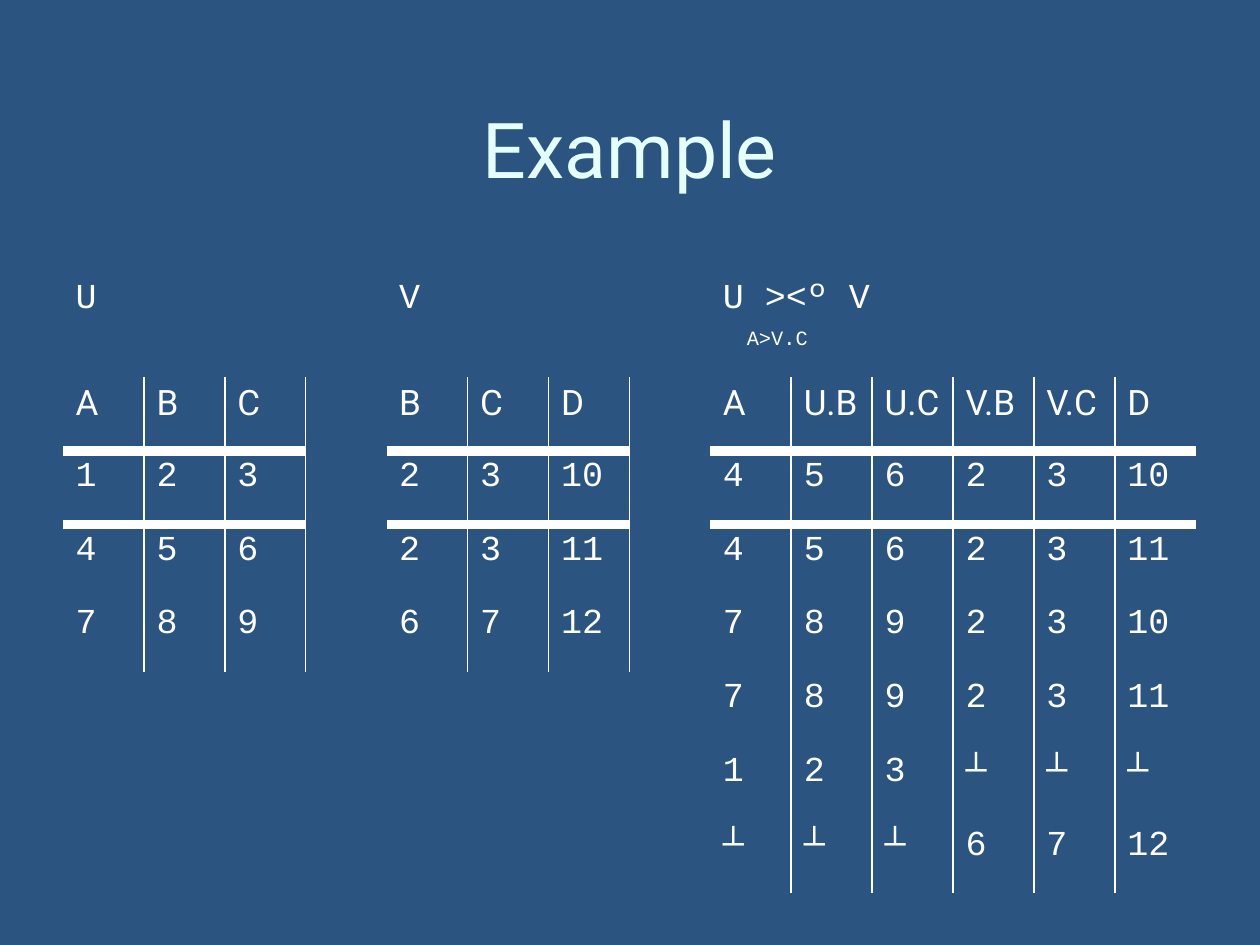
"""Build the outer join example slide: relations U, V and their join in one grid."""
from dataclasses import dataclass

from lxml.etree import SubElement as Sub
from pptx import Presentation
from pptx.dml.color import RGBColor as RGB
from pptx.enum.text import MSO_ANCHOR as ANCHOR, PP_ALIGN as ALIGN
from pptx.oxml.ns import qn
from pptx.util import Inches, Pt


@dataclass(frozen=True)
class Theme:
    bg: str = "2B5481"
    title: str = "E5FFFF"
    ink: str = "FFFFFF"
    sans: str = "Roboto"
    mono: str = "Courier New"
    title_pt: int = 44
    body_pt: int = 20
    thin_pt: int = 1
    rule_pt: int = 6


TH = Theme()
TITLE = "Example"
CONDITION = "A>V.C"
RELATIONS = [
    ("U", 0, "A B C", ["1 2 3", "4 5 6", "7 8 9"]),
    ("V", 4, "B C D", ["2 3 10", "2 3 11", "6 7 12"]),
    ("U ><º V", 8, "A U.B U.C V.B V.C D", [
        "4 5 6 2 3 10", "4 5 6 2 3 11", "7 8 9 2 3 10",
        "7 8 9 2 3 11", "1 2 3 ┴ ┴ ┴", "┴ ┴ ┴ 6 7 12"]),
]
ROWS, COLS = 8, 14
LEFT, TOP, WIDTH = 0.5, 2.17, 8.99
NAME_H, BODY_H = 0.64, 4.1
NO_STYLE = "{2D5ABB26-0587-4C30-8999-92F81FD0307C}"


def write(p, text, font=TH.mono, size=TH.body_pt, color=TH.ink, align=ALIGN.LEFT):
    p.alignment = align
    r = p.add_run()
    r.text = text
    r.font.name, r.font.size = font, Pt(size)
    r.font.color.rgb = RGB.from_string(color)
    return r


def border(cell, **widths):
    tc_pr = cell._tc.get_or_add_tcPr()
    for side in "LRTB":
        if widths.get(side):
            ln = Sub(tc_pr, qn(f"a:ln{side}"), w=str(Pt(widths[side])))
            Sub(Sub(ln, qn("a:solidFill")), qn("a:srgbClr"), val=TH.ink)


def add_title(s):
    tf = s.shapes.add_textbox(Inches(0.5), Inches(0.42), Inches(9), Inches(1.5)).text_frame
    tf.word_wrap, tf.vertical_anchor = True, ANCHOR.MIDDLE
    write(tf.paragraphs[0], TITLE, font=TH.sans, size=TH.title_pt,
          color=TH.title, align=ALIGN.CENTER)


def fill_relation(table, name, start, header, records):
    write(table.cell(0, start).text_frame.paragraphs[0], name)
    for i, record in enumerate([header, *records]):
        values = record.split()
        for j, value in enumerate(values):
            cell = table.cell(i + 1, start + j)
            write(cell.text_frame.paragraphs[0], value, font=TH.mono if i else TH.sans)
            border(cell, L=TH.thin_pt if j else 0,
                   R=TH.thin_pt if j < len(values) - 1 else 0,
                   T=TH.rule_pt if i == 1 else 0, B=TH.rule_pt if i == 0 else 0)


def add_condition(cell):
    p = cell.text_frame.add_paragraph()
    p._p.get_or_add_pPr().set("marL", str(Inches(0.19)))
    p.space_before = Pt(TH.body_pt * 0.2)
    write(p, CONDITION).font._element.set("baseline", "30000")


def add_grid(s):
    frame = s.shapes.add_table(ROWS, COLS, Inches(LEFT), Inches(TOP),
                               Inches(WIDTH), Inches(NAME_H + BODY_H))
    frame._element.xpath(".//a:tableStyleId")[0].text = NO_STYLE
    table = frame.table
    table.first_row = table.horz_banding = False
    for col in table.columns:
        col.width = Inches(WIDTH / COLS)
    for i, row in enumerate(table.rows):
        row.height = Inches(BODY_H / (ROWS - 1) if i else NAME_H)
    table.cell(0, 8).merge(table.cell(0, 11))
    table.cell(0, 12).merge(table.cell(0, 13))
    for relation in RELATIONS:
        fill_relation(table, *relation)
    add_condition(table.cell(0, 8))
    for cell in table.iter_cells():
        cell.fill.background()


def main():
    prs = Presentation()
    prs.slide_width, prs.slide_height = Inches(10), Inches(7.5)
    s = prs.slides.add_slide(prs.slide_layouts[6])
    s.background.fill.solid()
    s.background.fill.fore_color.rgb = RGB.from_string(TH.bg)
    add_title(s)
    add_grid(s)
    prs.save("out.pptx")


if __name__ == "__main__":
    main()
